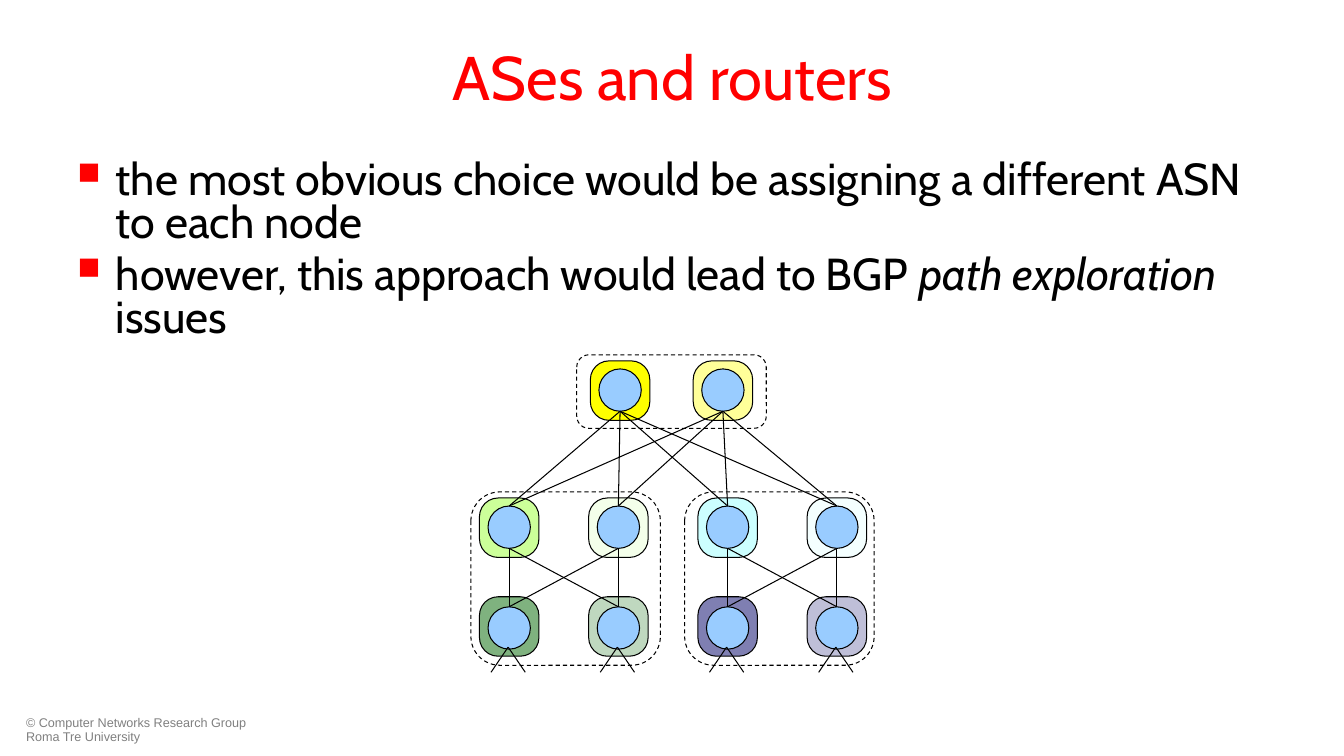
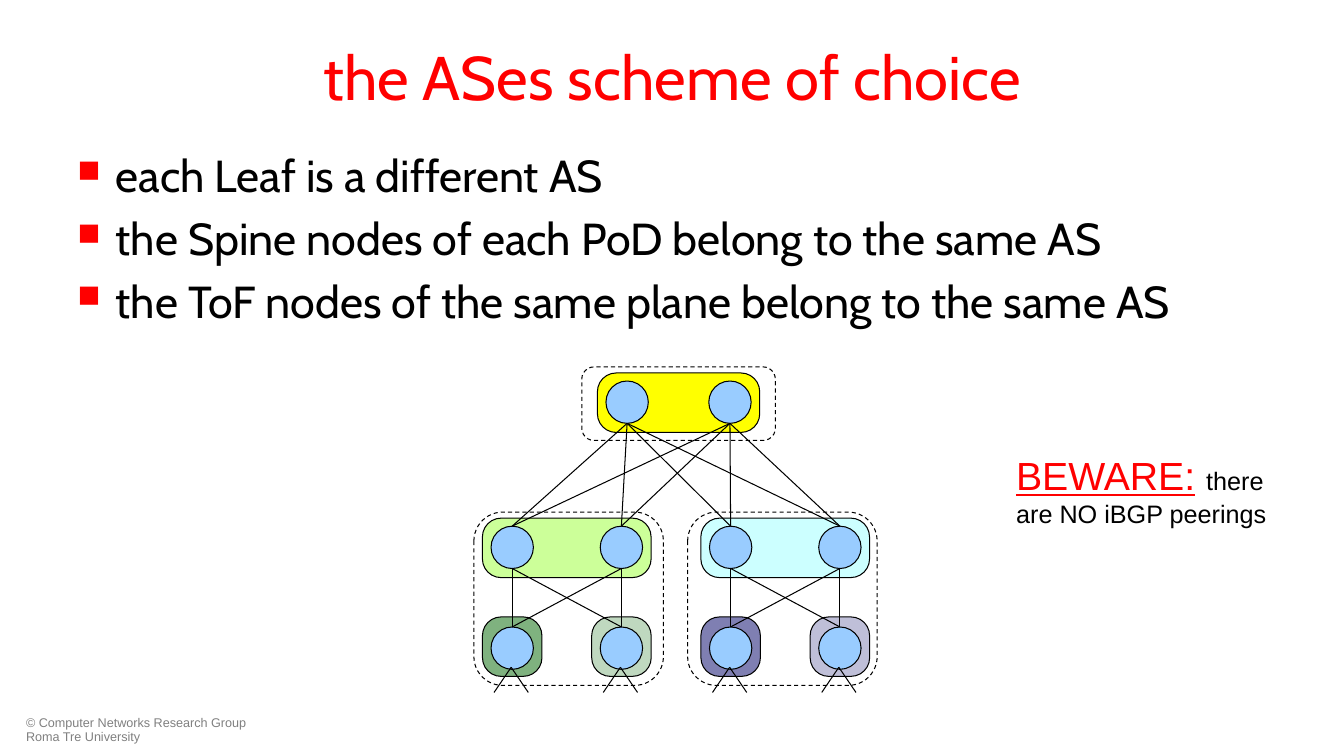
"""Builds two slides on assigning AS numbers in a fat-tree network."""
from lxml import etree
from pptx import Presentation
from pptx.dml.color import RGBColor
from pptx.enum import dml, shapes, text
from pptx.oxml import ns
from pptx.util import Inches, Pt

COLORS = {
    "accent": "FF0000", "ink": "000000", "muted": "808080", "node": "99CCFF",
    "yellow": "FFFF00", "pale_yellow": "FFFF99", "lime": "CCFF99",
    "cyan": "CCFFFF", "green": "006600", "navy": "000066",
}
NODE = 0.42
BOX = 0.59
COLUMN_GAP = 3.25 / 3
TOF_GAP = 1.02
LEAF_DROP = 1
LEAF_BOXES = [("leaf", 0, 0, "green", 50), ("leaf", 1, 1, "green", 25),
              ("leaf", 2, 2, "navy", 50), ("leaf", 3, 3, "navy", 25)]


def color(name):
    """Return the named colour."""
    return RGBColor.from_string(COLORS[name])


def add_xml(parent, tag, **attrs):
    """Append a DrawingML element to the parent."""
    return etree.SubElement(parent, ns.qn(tag), attrs)


class Deck:
    """Holds the presentation, its style and the current slide."""

    def __init__(self):
        """Start an empty widescreen presentation."""
        self.prs = Presentation()
        self.prs.slide_width, self.prs.slide_height = Inches(13.33), Inches(7.5)
        self.s = None

    def format(self, r, size, font="Arial", fill="ink"):
        """Set the font of a run."""
        r.font.size, r.font.name = Pt(size), font
        r.font.color.rgb = color(fill)

    def slide(self, title):
        """Add a slide with its title and footer."""
        self.s = self.prs.slides.add_slide(self.prs.slide_layouts[5])
        sp = self.s.shapes.title
        sp.left, sp.top, sp.width, sp.height = map(Inches, (0.67, 0.13, 12, 1.25))
        tf = sp.text_frame
        tf.text = title
        tf.auto_size = text.MSO_AUTO_SIZE.NONE
        tf.vertical_anchor = text.MSO_ANCHOR.MIDDLE
        p = tf.paragraphs[0]
        p.alignment = text.PP_ALIGN.CENTER
        self.format(p.runs[0], 44, "Cabin", "accent")
        p = self.textbox(0.16, 7.06, 2.49, 0.36).paragraphs[0]
        p.text = "© Computer Networks Research Group Roma Tre University"
        p.line_spacing = 0.9
        self.format(p.runs[0], 9, fill="muted")

    def textbox(self, x, y, w, h):
        """Add a wrapping text box and return its text frame."""
        tf = self.s.shapes.add_textbox(*map(Inches, (x, y, w, h))).text_frame
        tf.word_wrap = True
        return tf

    def bullets(self, y, h, items, spacing=1.0):
        """Add square bullets; every second part of an item is italic."""
        tf = self.textbox(0.67, y, 12, h)
        for i, parts in enumerate(items):
            p = tf.add_paragraph() if i else tf.paragraphs[0]
            p.line_spacing, p.space_before = spacing, Pt(6.4)
            pPr = p._p.get_or_add_pPr()
            pPr.set("marL", str(Inches(0.38)))
            pPr.set("indent", str(-Inches(0.38)))
            add_xml(add_xml(pPr, "a:buClr"), "a:srgbClr", val=COLORS["accent"])
            add_xml(pPr, "a:buSzPct", val="70000")
            add_xml(pPr, "a:buChar", char="■")
            for j, part in enumerate(parts):
                r = p.add_run()
                r.text = part
                self.format(r, 32, "Cabin")
                r.font.italic = j % 2 == 1

    def shape(self, kind, x, y, w, h, fill=None, opacity=100):
        """Add an outlined shape, dashed when it has no fill."""
        sp = self.s.shapes.add_shape(kind, *map(Inches, (x, y, w, h)))
        sp.shadow.inherit = False
        sp.line.color.rgb, sp.line.width = color("ink"), Pt(0.75)
        if fill is None:
            sp.fill.background()
            sp.line.dash_style = dml.MSO_LINE.DASH
            return sp
        sp.fill.solid()
        sp.fill.fore_color.rgb = color(fill)
        if opacity < 100:
            clr = sp._element.spPr.find(ns.qn("a:solidFill"))[0]
            add_xml(clr, "a:alpha", val=str(opacity * 1000))
        return sp

    def rounded(self, *args):
        """Add a rounded rectangle."""
        return self.shape(shapes.MSO_SHAPE.ROUNDED_RECTANGLE, *args)

    def line(self, x1, y1, x2, y2):
        """Add a thin straight line."""
        c = self.s.shapes.add_connector(
            shapes.MSO_CONNECTOR.STRAIGHT, *map(Inches, (x1, y1, x2, y2)))
        c.line.color.rgb, c.line.width = color("ink"), Pt(0.75)
        add_xml(c._element.spPr, "a:effectLst")

    def links(self, uppers, y1, lowers, y2):
        """Join every upper node to every lower node."""
        for a in uppers:
            for b in lowers:
                self.line(a, y1 + NODE, b, y2)

    def fabric(self, x, tof_x, tof_y, spine_y, tof_width, boxes):
        """Draw the three tiers, their AS boxes, links and dashed groups."""
        leaf_y = spine_y + LEAF_DROP
        columns = [x + i * COLUMN_GAP for i in range(4)]
        tofs = [tof_x, tof_x + TOF_GAP]
        tiers = {"tof": (tofs, tof_y, 0.08), "spine": (columns, spine_y, 0.08),
                 "leaf": (columns, leaf_y, 0.1)}
        for tier, first, last, fill, opacity in boxes:
            xs, y, margin = tiers[tier]
            self.rounded(xs[first] - BOX / 2, y - margin,
                         xs[last] - xs[first] + BOX, BOX, fill, opacity
                         ).adjustments[0] = 0.315
        for xs, y, _ in tiers.values():
            for cx in xs:
                self.shape(shapes.MSO_SHAPE.OVAL, cx - NODE / 2, y, NODE, NODE, "node")
        self.links(tofs, tof_y, columns, spine_y)
        for pod in (0, 1):
            pair = columns[2 * pod:2 * pod + 2]
            self.links(pair, spine_y, pair, leaf_y)
            self.rounded(x - 0.38 + 2.12 * pod, spine_y - 0.14, 1.88, 1.72)
        for cx in columns:
            for side in (-0.17, 0.17):
                self.line(cx - 0.01, leaf_y + 0.4, cx - 0.01 + side, leaf_y + 0.65)
        self.rounded(sum(tofs) / 2 - tof_width / 2, tof_y - 0.14, tof_width, 0.73)

    def warning(self, x, y, w, h, label, message):
        """Add a note led by an underlined label."""
        p = self.textbox(x, y, w, h).paragraphs[0]
        for part, size, fill in ((label, 28, "accent"), (" ", 28, "accent"),
                                 (message, 18, "ink")):
            r = p.add_run()
            r.text = part
            self.format(r, size, fill=fill)
            r.font.underline = part == label


def main():
    """Build both slides and save them."""
    deck = Deck()

    deck.slide("ASes and routers")
    deck.bullets(1.55, 5.15, [
        ["the most obvious choice would be assigning a different ASN to each node"],
        ["however, this approach would lead to BGP ", "path exploration", " issues"],
    ], 0.8)
    deck.fabric(5.05, 6.15, 3.66, 5.02, 1.88, [
        ("tof", 0, 0, "yellow", 100), ("tof", 1, 1, "pale_yellow", 100),
        ("spine", 0, 0, "lime", 100), ("spine", 1, 1, "lime", 20),
        ("spine", 2, 2, "cyan", 100), ("spine", 3, 3, "cyan", 20),
    ] + LEAF_BOXES)

    deck.slide("the ASes scheme of choice")
    deck.bullets(1.42, 1.89, [
        ["each Leaf is a different AS"],
        ["the Spine nodes of each PoD belong to the same AS"],
        ["the ToF nodes of the same plane belong to the same AS"],
    ])
    deck.fabric(5.08, 6.22, 3.78, 5.22, 1.92, [
        ("tof", 0, 1, "yellow", 100), ("spine", 0, 1, "lime", 100),
        ("spine", 2, 3, "cyan", 100),
    ] + LEAF_BOXES)
    deck.warning(9.98, 4.43, 2.94, 0.88, "BEWARE:", "there are NO iBGP peerings")

    deck.prs.save("out.pptx")


if __name__ == "__main__":
    main()
